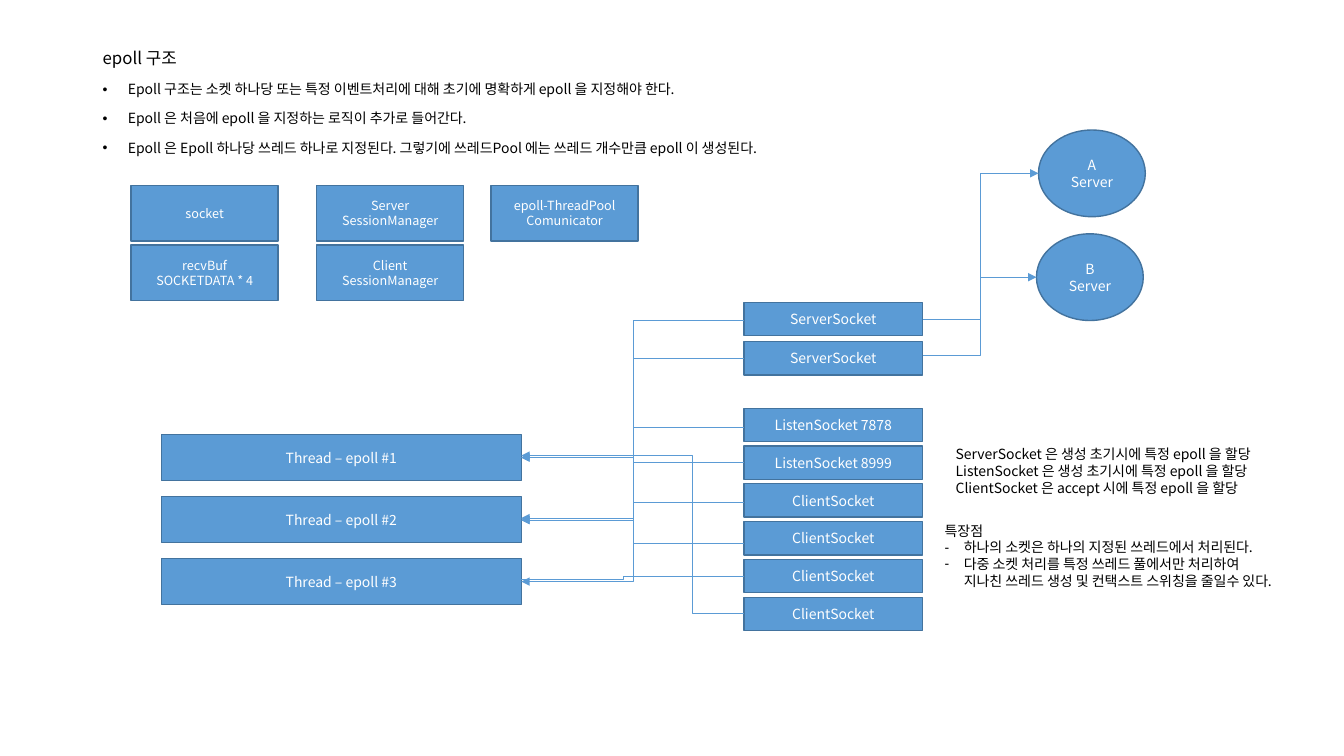
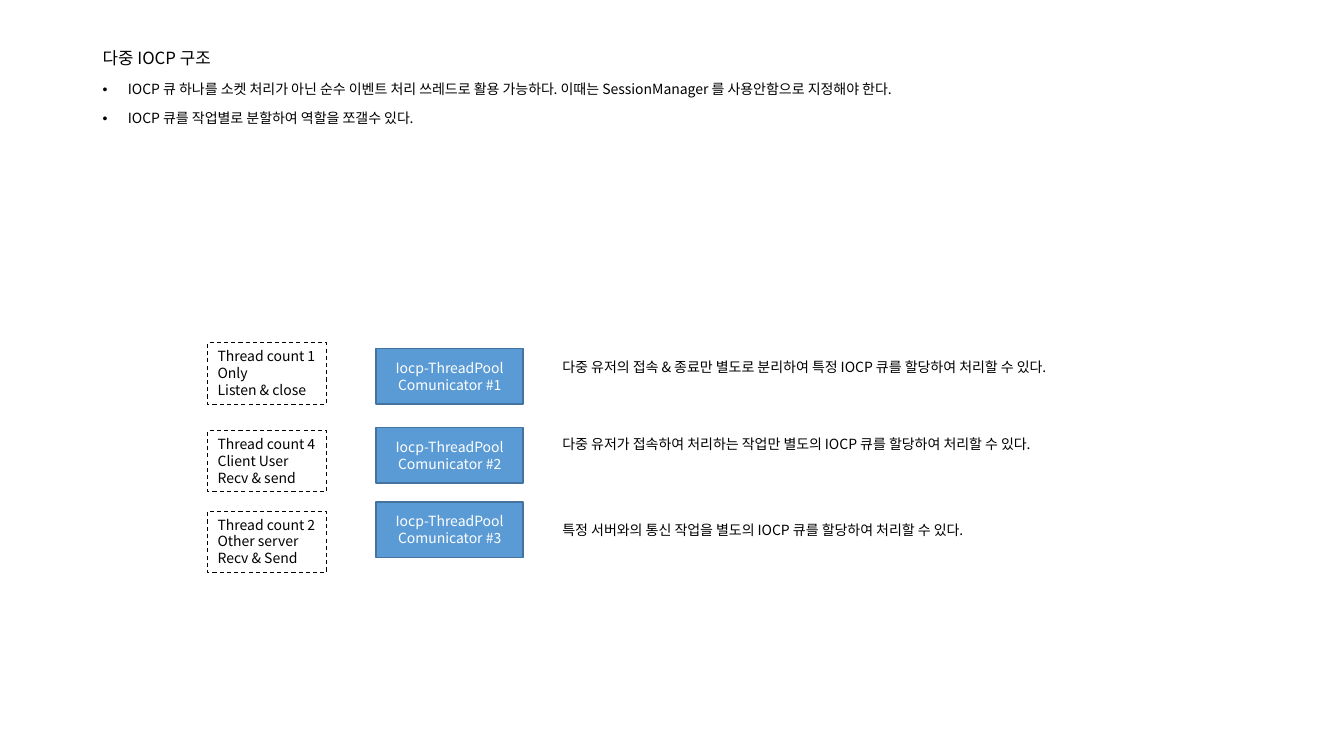
from typing import NamedTuple, Sequence

from lxml.etree import SubElement
from pptx import Presentation
from pptx.dml.color import RGBColor
from pptx.enum.dml import MSO_LINE
from pptx.enum.shapes import MSO_CONNECTOR, MSO_SHAPE
from pptx.enum.text import MSO_ANCHOR, MSO_AUTO_SIZE, PP_ALIGN
from pptx.oxml.ns import qn
from pptx.slide import Slide
from pptx.text.text import TextFrame
from pptx.util import Inches, Pt

BLUE = RGBColor(0x5B, 0x9B, 0xD5)
EDGE = RGBColor(0x43, 0x73, 0x9E)
BLACK = RGBColor(0, 0, 0)
WHITE = RGBColor(0xFF, 0xFF, 0xFF)
FONT = "Noto Sans CJK KR"

THREAD_LEFT, THREAD_WIDTH = 1.6, 3.57
THREAD_RIGHT = THREAD_LEFT + THREAD_WIDTH
SOCKET_LEFT, SOCKET_WIDTH = 7.38, 1.77
SOCKET_RIGHT = SOCKET_LEFT + SOCKET_WIDTH
CARD_WIDTH, CARD_HEIGHT = 1.46, 0.55


class Line(NamedTuple):
    text: str
    bullet: str = ""
    indent: float = 0


class Box(NamedTuple):
    text: str
    left: float
    top: float
    width: float
    height: float
    size: float = 10
    preset: MSO_SHAPE = MSO_SHAPE.RECTANGLE


class Route(NamedTuple):
    start_x: float
    start_y: float
    end_x: float
    end_y: float
    bend_x: float


class Pool(NamedTuple):
    number: int
    top: float
    role: Sequence[str]
    role_top: float
    note: str
    note_top: float


def write(frame: TextFrame, lines: Sequence[Line], size: float = 10,
          color: RGBColor = BLACK, align: PP_ALIGN = PP_ALIGN.LEFT,
          spacing: float = 1.0, before: float = 0) -> None:
    for index, line in enumerate(lines):
        paragraph = frame.add_paragraph() if index else frame.paragraphs[0]
        paragraph.text = line.text
        paragraph.alignment = align
        paragraph.line_spacing = spacing
        paragraph.space_before = Pt(before)
        if line.bullet:
            properties = paragraph._p.get_or_add_pPr()
            properties.set("marL", str(Inches(line.indent)))
            properties.set("indent", str(-Inches(line.indent)))
            SubElement(properties, qn("a:buFont")).set("typeface", "Arial")
            SubElement(properties, qn("a:buChar")).set("char", line.bullet)
        font = paragraph.font
        font.size = Pt(size)
        font.color.rgb = color
        font.name = FONT
        SubElement(font._element, qn("a:ea")).set("typeface", FONT)


def add_text(slide: Slide, left: float, top: float, width: float,
             height: float) -> TextFrame:
    frame = slide.shapes.add_textbox(
        Inches(left), Inches(top), Inches(width), Inches(height)).text_frame
    frame.word_wrap = True
    return frame


def add_page(deck: Presentation, title: str, points: Sequence[str]) -> Slide:
    slide = deck.slides.add_slide(deck.slide_layouts[6])
    heading = add_text(slide, 0.92, 0.4, 11.5, 0.37)
    heading.vertical_anchor = MSO_ANCHOR.MIDDLE
    write(heading, [Line(title)], size=12, spacing=0.9)
    body = add_text(slide, 0.92, 0.77, 11.5, 5.99)
    write(body, [Line(point, "•", 0.25) for point in points],
          spacing=0.9, before=10)
    return slide


def add_box(slide: Slide, box: Box) -> None:
    shape = slide.shapes.add_shape(
        box.preset, Inches(box.left), Inches(box.top),
        Inches(box.width), Inches(box.height))
    shape.shadow.inherit = False
    shape.fill.solid()
    shape.fill.fore_color.rgb = BLUE
    shape.line.color.rgb = EDGE
    shape.line.width = Pt(1)
    frame = shape.text_frame
    frame.vertical_anchor = MSO_ANCHOR.MIDDLE
    write(frame, [Line(box.text)], box.size, WHITE, PP_ALIGN.CENTER)


def add_role(slide: Slide, top: float, lines: Sequence[str]) -> None:
    shape = slide.shapes.add_shape(
        MSO_SHAPE.RECTANGLE, Inches(2.06), Inches(top), Inches(1.18), Inches(0.61))
    shape.shadow.inherit = False
    shape.fill.background()
    shape.line.color.rgb = BLACK
    shape.line.width = Pt(0.75)
    shape.line.dash_style = MSO_LINE.DASH
    frame = shape.text_frame
    frame.word_wrap = False
    frame.auto_size = MSO_AUTO_SIZE.SHAPE_TO_FIT_TEXT
    frame.vertical_anchor = MSO_ANCHOR.TOP
    write(frame, [Line(text) for text in lines])


def add_route(slide: Slide, route: Route) -> None:
    connector = slide.shapes.add_connector(
        MSO_CONNECTOR.ELBOW, Inches(route.start_x), Inches(route.start_y),
        Inches(route.end_x), Inches(route.end_y))
    connector.line.color.rgb = BLUE
    connector.line.width = Pt(0.5)
    SubElement(connector.line._get_or_add_ln(), qn("a:tailEnd")).set("type", "triangle")
    properties = connector._element.spPr
    SubElement(properties, qn("a:effectLst"))
    bend = (route.bend_x - route.start_x) / (route.end_x - route.start_x)
    guide = SubElement(properties.find(".//" + qn("a:avLst")), qn("a:gd"))
    guide.set("name", "adj1")
    guide.set("fmla", f"val {round(bend * 100000)}")


def build_epoll(deck: Presentation) -> None:
    slide = add_page(deck, "epoll 구조", [
        "Epoll 구조는 소켓 하나당 또는 특정 이벤트처리에 대해 초기에 명확하게 epoll 을 지정해야 한다.",
        "Epoll 은 처음에 epoll 을 지정하는 로직이 추가로 들어간다.",
        "Epoll 은 Epoll 하나당 쓰레드 하나로 지정된다. 그렇기에 쓰레드Pool 에는 쓰레드 개수만큼 epoll 이 생성된다.",
    ])
    component_columns = [
        (1.3, ["socket", "recvBuf\vSOCKETDATA * 4"]),
        (3.14, ["Server\vSessionManager", "Client\vSessionManager"]),
        (4.87, ["epoll-ThreadPool\vComunicator"]),
    ]
    boxes = [Box(text, left, 1.84 + 0.59 * row, CARD_WIDTH, CARD_HEIGHT, 9)
             for left, texts in component_columns for row, text in enumerate(texts)]
    boxes += [Box(f"Thread – epoll #{row + 1}", THREAD_LEFT, 4.31 + 0.615 * row,
                  THREAD_WIDTH, 0.46) for row in range(3)]
    socket_groups = [
        (3.0, 0.39, ["ServerSocket"] * 2),
        (4.05, 0.375, ["ListenSocket 7878", "ListenSocket 8999"] + ["ClientSocket"] * 4),
    ]
    boxes += [Box(text, SOCKET_LEFT, top + pitch * row, SOCKET_WIDTH, 0.33)
              for top, pitch, texts in socket_groups for row, text in enumerate(texts)]
    boxes += [Box(f"{letter}\vServer", left, top, 1.06, 0.86, preset=MSO_SHAPE.OVAL)
              for letter, left, top in [("A", 10.3, 1.29), ("B", 10.28, 2.32)]]
    for box in boxes:
        add_box(slide, box)

    server_routes = [
        Route(SOCKET_RIGHT, 3.17, 10.3, 1.72, 9.72),
        Route(SOCKET_RIGHT, 3.53, 10.28, 2.75, 9.72),
    ]
    thread_routes = [
        Route(SOCKET_LEFT, start_y, end_x, end_y, bend_x)
        for start_y, end_x, end_y, bend_x in [
            (4.98, THREAD_RIGHT, 4.54, 6.28),
            (5.39, THREAD_RIGHT, 5.16, 6.28),
            (5.72, 4.99, 5.75, 6.18),
            (6.09, THREAD_RIGHT, 4.52, 6.87),
            (3.18, THREAD_RIGHT, 5.16, 6.28),
            (3.56, THREAD_RIGHT, 5.77, 6.28),
            (4.24, THREAD_RIGHT, 4.54, 6.28),
            (4.59, THREAD_RIGHT, 5.14, 6.28),
        ]
    ]
    for route in server_routes + thread_routes:
        add_route(slide, route)

    write(add_text(slide, 9.38, 4.37, 3.7, 0.61), [
        Line("ServerSocket 은 생성 초기시에 특정 epoll 을 할당"),
        Line("ListenSocket 은 생성 초기시에 특정 epoll 을 할당"),
        Line("ClientSocket 은 accept 시에 특정 epoll 을 할당"),
    ])
    write(add_text(slide, 9.27, 5.13, 3.82, 0.77), [
        Line("특장점"),
        Line("하나의 소켓은 하나의 지정된 쓰레드에서 처리된다.", "-", 0.19),
        Line("다중 소켓 처리를 특정 쓰레드 풀에서만 처리하여\v"
             "지나친 쓰레드 생성 및 컨택스트 스위칭을 줄일수 있다.", "-", 0.19),
    ])


def build_iocp(deck: Presentation) -> None:
    slide = add_page(deck, "다중 IOCP 구조", [
        "IOCP 큐 하나를 소켓 처리가 아닌 순수 이벤트 처리 쓰레드로 활용 가능하다. "
        "이때는 SessionManager 를 사용안함으로 지정해야 한다.",
        "IOCP 큐를 작업별로 분할하여 역할을 쪼갤수 있다.",
    ])
    pools = [
        Pool(1, 3.46, ["Thread count 1", "Only", "Listen & close"], 3.4,
             "다중 유저의 접속 & 종료만 별도로 분리하여 특정 IOCP 큐를 할당하여 처리할 수 있다.", 3.51),
        Pool(2, 4.24, ["Thread count 4\vClient User", "Recv & send"], 4.27,
             "다중 유저가 접속하여 처리하는 작업만 별도의 IOCP 큐를 할당하여 처리할 수 있다.", 4.27),
        Pool(3, 4.98, ["Thread count 2", "Other server\vRecv & Send"], 5.07,
             "특정 서버와의 통신 작업을 별도의 IOCP 큐를 할당하여 처리할 수 있다.", 5.12),
    ]
    for pool in pools:
        add_box(slide, Box(f"Iocp-ThreadPool\vComunicator #{pool.number}",
                           3.73, pool.top, CARD_WIDTH, CARD_HEIGHT))
        add_role(slide, pool.role_top, pool.role)
        write(add_text(slide, 5.48, pool.note_top, 6.1, 0.27), [Line(pool.note)])


def main() -> None:
    deck = Presentation()
    deck.slide_width = Inches(13.33)
    deck.slide_height = Inches(7.5)
    build_epoll(deck)
    build_iocp(deck)
    deck.save("out.pptx")


if __name__ == "__main__":
    main()
